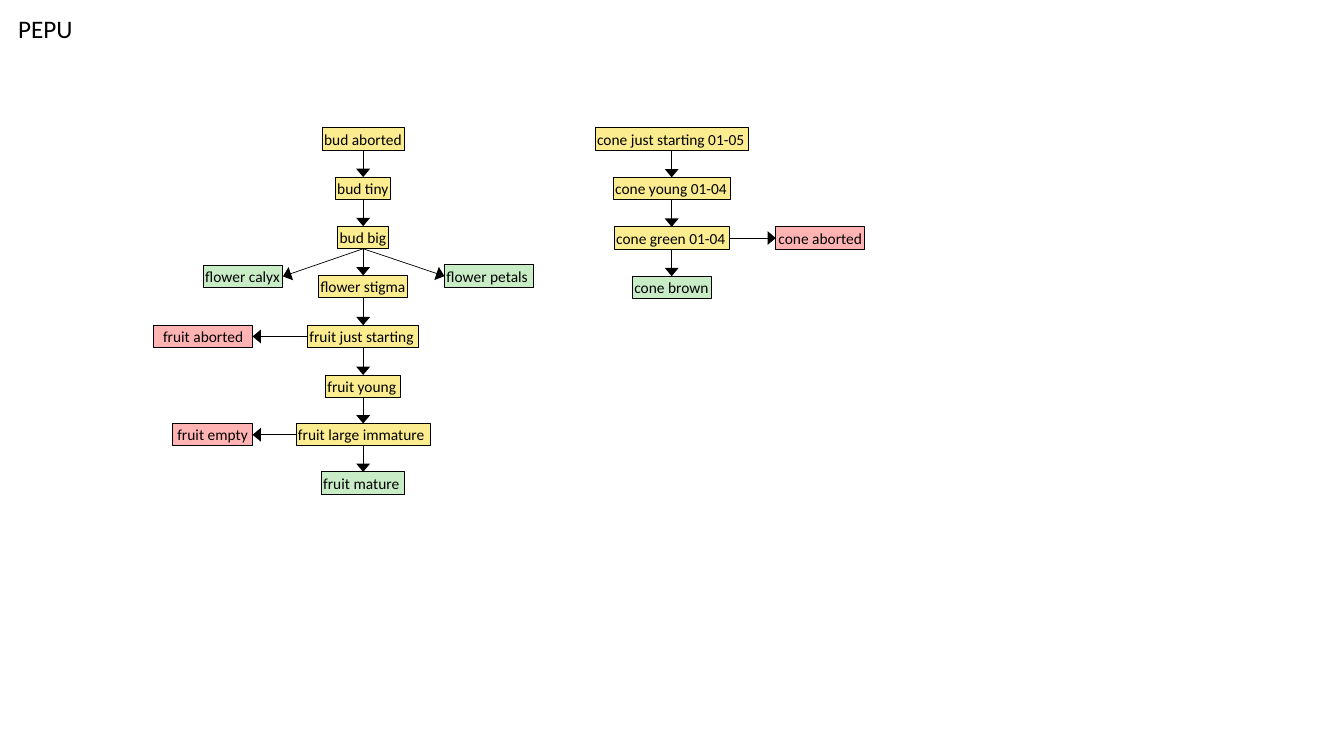
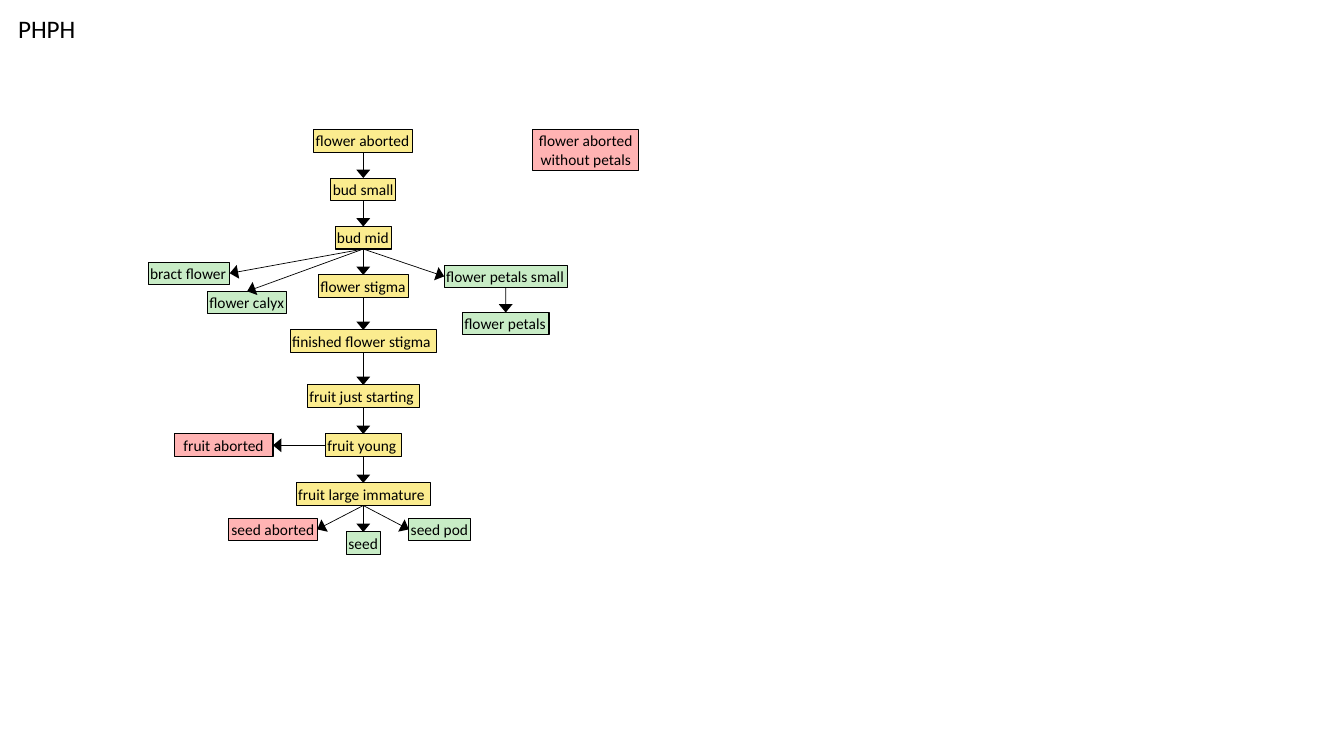
from dataclasses import dataclass
from itertools import accumulate, pairwise

from lxml import etree
from pptx import Presentation
from pptx.dml.color import RGBColor
from pptx.enum import shapes, text
from pptx.oxml import ns
from pptx.util import Pt


@dataclass(frozen=True)
class Theme:
    growing: str = "FBEC8F"
    final: str = "C8ECC6"
    failed: str = "FFB3B3"
    ink: str = "000000"
    font: str = "Calibri"
    title_size: float = 18
    label_size: float = 11
    border: float = 0.75
    arrow: float = 0.5
    inset: float = 1.4
    box_height: float = 16.1


THEME = Theme()
TOP, LEFT, BOTTOM, RIGHT = range(4)


def rgb(name):
    return RGBColor.from_string(getattr(THEME, name))


def apply(target, values):
    for name, value in values.items():
        setattr(target, name, value)


def write(sp, label, size, align=text.PP_ALIGN.LEFT, **frame):
    tf = sp.text_frame
    apply(tf, {"auto_size": text.MSO_AUTO_SIZE.SHAPE_TO_FIT_TEXT,
               "vertical_anchor": text.MSO_ANCHOR.TOP, **frame})
    p = tf.paragraphs[0]
    p.alignment = align
    r = p.add_run()
    r.text = label
    apply(r.font, {"name": THEME.font, "size": Pt(size)})
    r.font.color.rgb = rgb("ink")


def add_slide(prs, code, width):
    s = prs.slides.add_slide(prs.slide_layouts[6])
    sp = s.shapes.add_textbox(Pt(5.8), Pt(5.8), Pt(width), Pt(29))
    write(sp, code, THEME.title_size, word_wrap=False)
    return s


def box(s, kind, label, left, top, width, height=THEME.box_height):
    sp = s.shapes.add_shape(shapes.MSO_SHAPE.RECTANGLE,
                            Pt(left), Pt(top), Pt(width), Pt(height))
    sp.shadow.inherit = False
    sp.fill.solid()
    sp.fill.fore_color.rgb = rgb(kind)
    sp.line.color.rgb = rgb("ink")
    sp.line.width = Pt(THEME.border)
    failed = kind == "failed"
    inset = Pt(THEME.inset)
    align = text.PP_ALIGN.CENTER if failed else text.PP_ALIGN.LEFT
    write(sp, label, THEME.label_size, align, word_wrap=failed,
          margin_left=inset, margin_top=inset, margin_bottom=inset,
          margin_right=inset if failed else 0)
    return sp


def arrow(s, parent, child, start=BOTTOM, end=TOP):
    c = s.shapes.add_connector(shapes.MSO_CONNECTOR.STRAIGHT, 0, 0, 0, 0)
    c.begin_connect(parent, start)
    c.end_connect(child, end)
    c.line.color.rgb = rgb("ink")
    c.line.width = Pt(THEME.arrow)
    sp_pr = c.element.spPr
    etree.SubElement(sp_pr.find(ns.qn("a:ln")), ns.qn("a:tailEnd"),
                     type="triangle", w="lg", len="med")
    etree.SubElement(sp_pr, ns.qn("a:effectLst"))


def column(s, center, top, steps, stages):
    tops = accumulate(steps, initial=top)
    boxes = {label: box(s, kind, label, center - width / 2, y, width)
             for (kind, label, width), y in zip(stages, tops)}
    for parent, child in pairwise(boxes.values()):
        arrow(s, parent, child)
    return boxes


def branch(s, parent, kind, label, left, width, top=None, start=BOTTOM, end=TOP):
    y = parent.top.pt if top is None else top
    child = box(s, kind, label, left, y, width)
    arrow(s, parent, child, start, end)
    return child


def pepu(prs):
    s = add_slide(prs, "PEPU", 54)
    cones = column(s, 479.8, 91.4, [35.3] * 3, [
        ("growing", "cone just starting 01-05", 109.4),
        ("growing", "cone young 01-04", 83.5),
        ("growing", "cone green 01-04", 82.1),
        ("final", "cone brown", 56.2),
    ])
    branch(s, cones["cone green 01-04"], "failed", "cone aborted", 554.2, 63.4,
           start=RIGHT, end=LEFT)

    fruit = column(s, 259.4, 91.4, [35.1] * 3 + [35.6] * 2 + [34.6] * 2, [
        ("growing", "bud aborted", 58.6),
        ("growing", "bud tiny", 39.8),
        ("growing", "bud big", 36.4),
        ("growing", "flower stigma", 64),
        ("growing", "fruit just starting", 79.6),
        ("growing", "fruit young", 54),
        ("growing", "fruit large immature", 95.8),
        ("final", "fruit mature", 59.8),
    ])
    bud = fruit["bud big"]
    branch(s, bud, "final", "flower calyx", 145.2, 56.9, 189.4, end=RIGHT)
    branch(s, bud, "final", "flower petals", 317.5, 63.4, 189.2, end=LEFT)
    for parent, label, left, width in (
        ("fruit just starting", "fruit aborted", 109.8, 70.6),
        ("fruit large immature", "fruit empty", 123.4, 57),
    ):
        branch(s, fruit[parent], "failed", label, left, width, start=LEFT, end=RIGHT)


def phph(prs):
    s = add_slide(prs, "PHPH", 56.2)
    fruit = column(s, 259.5, 92.6, [34.6] * 3 + [39.3] * 2 + [35] * 3, [
        ("growing", "flower aborted", 70.8),
        ("growing", "bud small", 46.4),
        ("growing", "bud mid", 40.4),
        ("growing", "flower stigma", 64),
        ("growing", "finished flower stigma", 104.4),
        ("growing", "fruit just starting", 79.8),
        ("growing", "fruit young", 54),
        ("growing", "fruit large immature", 95.8),
        ("final", "seed", 24),
    ])
    bud, ripe = fruit["bud mid"], fruit["fruit large immature"]
    branch(s, bud, "final", "bract flower", 105.8, 58.3, 187.2, end=RIGHT)
    branch(s, bud, "final", "flower calyx", 148.1, 56.9, 208.1)
    petals = branch(s, bud, "final", "flower petals small", 317.3, 87.8, 189.4, end=LEFT)
    branch(s, petals, "final", "flower petals", 330.3, 61.9, 223.2)
    branch(s, fruit["fruit young"], "failed", "fruit aborted", 124.4, 70.6,
           start=LEFT, end=RIGHT)
    branch(s, ripe, "failed", "seed aborted", 163.2, 63.4, 370.1, end=RIGHT)
    branch(s, ripe, "final", "seed pod", 292, 44.2, 370.1, end=LEFT)
    box(s, "failed", "flower aborted without petals", 380.6, 92.6, 75.6, 29.5)


def main():
    prs = Presentation()
    apply(prs, {"slide_width": Pt(960), "slide_height": Pt(540)})
    pepu(prs)
    phph(prs)
    prs.save("out.pptx")


main()
